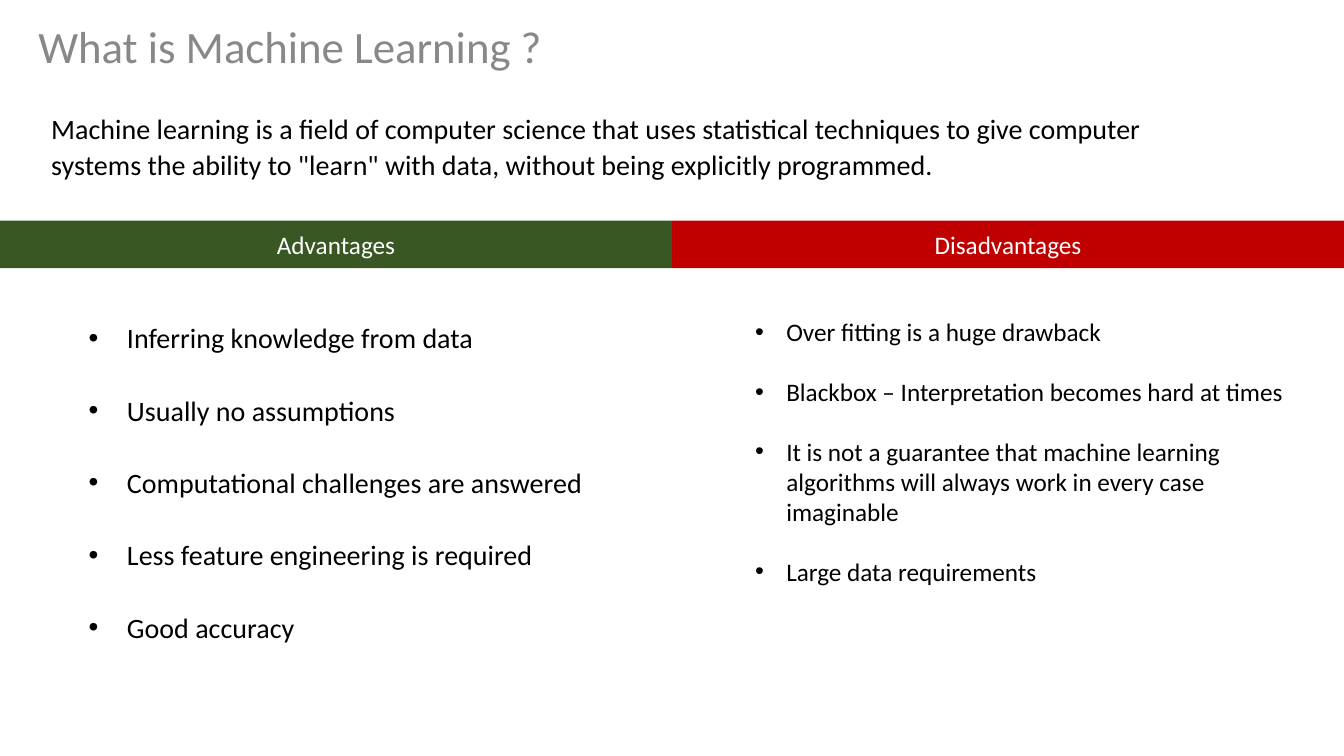
from pptx import Presentation
from pptx.dml.color import RGBColor
from pptx.enum.shapes import MSO_SHAPE
from pptx.enum.text import MSO_ANCHOR, MSO_AUTO_SIZE, PP_ALIGN
from pptx.util import Inches, Pt

GRAY = RGBColor(0x88, 0x88, 0x88)
BLACK = RGBColor(0, 0, 0)
WHITE = RGBColor(0xFF, 0xFF, 0xFF)
GREEN = RGBColor(0x38, 0x57, 0x23)
RED = RGBColor(0xC0, 0, 0)


def place(shape, left, top, width, height):
    shape.left, shape.top = Inches(left), Inches(top)
    shape.width, shape.height = Inches(width), Inches(height)


def write(shape, text, size, color, alignment, line_spacing, anchor):
    frame = shape.text_frame
    frame.text = text
    frame.word_wrap = True
    frame.auto_size = MSO_AUTO_SIZE.NONE
    frame.vertical_anchor = anchor
    for paragraph in frame.paragraphs:
        paragraph.alignment = alignment
        paragraph.line_spacing = line_spacing
        paragraph.space_before = Pt(0)
        for run in paragraph.runs:
            run.font.name = "Calibri"
            run.font.size = Pt(size)
            run.font.color.rgb = color


presentation = Presentation()
presentation.slide_width = Inches(13.333)
presentation.slide_height = Inches(7.5)
slide = presentation.slides.add_slide(presentation.slide_layouts.get_by_name("Two Content"))

title = slide.shapes.title
place(title, 0.28, 0.14, 11.5, 0.69)
write(title, "What is Machine Learning ?", 32, GRAY, PP_ALIGN.LEFT, 0.9, MSO_ANCHOR.MIDDLE)

definition = slide.shapes.add_textbox(Inches(0.41), Inches(1.03), Inches(11.68), Inches(1.17))
write(
    definition,
    "Machine learning is a field of computer science that uses statistical techniques "
    'to give computer systems the ability to "learn" with data, without being explicitly programmed.',
    20, BLACK, PP_ALIGN.LEFT, 1.07, MSO_ANCHOR.TOP,
)

advantages = [
    "Inferring knowledge from data",
    "Usually no assumptions",
    "Computational challenges are answered",
    "Less feature engineering is required",
    "Good accuracy",
]
disadvantages = [
    "Over fitting is a huge drawback",
    "Blackbox – Interpretation becomes hard at times",
    "It is not a guarantee that machine learning algorithms will always work in every case imaginable",
    "Large data requirements",
]
columns = [
    (1, advantages, (0.28, 3.11, 6.67, 4.05), 20, 1.07, 26, 0.88, 0.38),
    (2, disadvantages, (7.39, 3.09, 5.52, 3.13), 18, 1.0, 21, 0.31, 0.31),
]
for index, items, box, size, line_spacing, gap, margin, hanging in columns:
    body = slide.placeholders[index]
    place(body, *box)
    write(body, "\n".join(items), size, BLACK, PP_ALIGN.LEFT, line_spacing, MSO_ANCHOR.TOP)
    for paragraph in body.text_frame.paragraphs:
        paragraph.space_after = Pt(gap)
        properties = paragraph._p.get_or_add_pPr()
        properties.set("marL", str(Inches(margin)))
        properties.set("indent", str(-Inches(hanging)))

half = presentation.slide_width // 2
for left, heading, color in [(half, "Disadvantages", RED), (0, "Advantages", GREEN)]:
    banner = slide.shapes.add_shape(MSO_SHAPE.RECTANGLE, left, Inches(2.19), half, Inches(0.47))
    banner.shadow.inherit = False
    banner.fill.solid()
    banner.fill.fore_color.rgb = color
    banner.line.fill.background()
    write(banner, heading, 18, WHITE, PP_ALIGN.CENTER, 1.0, MSO_ANCHOR.MIDDLE)

presentation.save("out.pptx")
